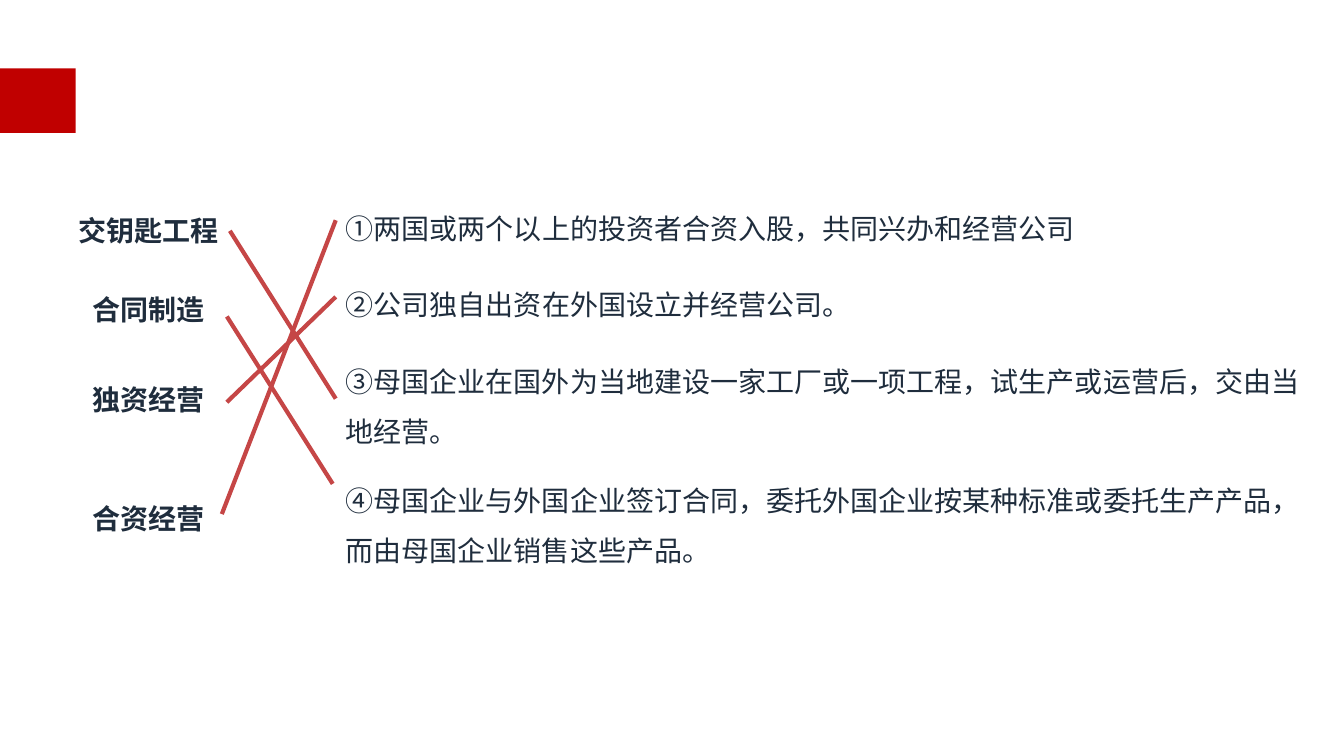
from dataclasses import dataclass

from lxml import etree
from pptx import Presentation
from pptx.dml.color import RGBColor
from pptx.enum import shapes, text
from pptx.oxml import ns
from pptx.util import Inches, Pt

COLORS = {"accent": "C00000", "ink": "1F2D3D", "link": "C54646"}
CJK_FONT = "Noto Sans CJK SC"
LABEL_FONT = "Roboto"
LABEL_CENTER = 1.48
LABEL_HEIGHT = 0.44
CHARACTER_WIDTH = 0.28
SIDE_INSETS = 0.2
DESCRIPTION_LEFT = 3.33
LEFT_SIDE, RIGHT_SIDE = 1, 3


@dataclass
class Label:
    wording: str
    top: float


@dataclass
class Description:
    wording: str
    top: float
    width: float
    height: float
    wraps: bool


@dataclass
class Match:
    """Answer line; label and description are indexes of the boxes it joins, if any."""
    start: tuple[float, float]
    end: tuple[float, float]
    label: int | None = None
    description: int | None = None


LABELS = [
    Label("交钥匙工程", 2.07),
    Label("合同制造", 2.85),
    Label("独资经营", 3.75),
    Label("合资经营", 4.93),
]
DESCRIPTIONS = [
    Description("①两国或两个以上的投资者合资入股，共同兴办和经营公司", 1.88, 7.49, 0.61, False),
    Description("②公司独自出资在外国设立并经营公司。", 2.64, 5.25, 0.61, False),
    Description("③母国企业在国外为当地建设一家工厂或一项工程，试生产或运营后，交由当地经营。",
                3.4, 9.67, 1.11, True),
    Description("④母国企业与外国企业签订合同，委托外国企业按某种标准或委托生产产品，而由母国企业销售这些产品。",
                4.58, 9.67, 1.11, True),
]
MATCHES = [
    Match((2.29, 2.29), (3.33, 3.95), label=0, description=2),
    Match((2.25, 3.14), (3.3, 4.8)),
    Match((2.25, 3.99), (3.33, 2.94), description=1),
    Match((2.2, 5.1), (3.33, 2.18), description=0),
]


def color(name: str) -> RGBColor:
    return RGBColor.from_string(COLORS[name])


def add_text(slide, wording: str, left: float, top: float, width: float, height: float,
             font_name: str, bold: bool = False, wraps: bool = False, spacing: float = 1.0):
    box = slide.shapes.add_textbox(Inches(left), Inches(top), Inches(width), Inches(height))
    frame = box.text_frame
    frame.text = wording
    frame.word_wrap = wraps
    frame.auto_size = text.MSO_AUTO_SIZE.SHAPE_TO_FIT_TEXT
    paragraph = frame.paragraphs[0]
    paragraph.line_spacing = spacing
    run = paragraph.runs[0]
    run.font.name = font_name
    run.font.size = Pt(20)
    run.font.bold = bold
    run.font.color.rgb = color("ink")
    east_asian = etree.SubElement(run.font._element, ns.qn("a:ea"))
    east_asian.set("typeface", CJK_FONT)
    return box


def add_label(slide, label: Label):
    width = SIDE_INSETS + CHARACTER_WIDTH * len(label.wording)
    return add_text(slide, label.wording, LABEL_CENTER - width / 2, label.top, width,
                    LABEL_HEIGHT, LABEL_FONT, bold=True)


def add_description(slide, description: Description):
    return add_text(slide, description.wording, DESCRIPTION_LEFT, description.top,
                    description.width, description.height, CJK_FONT,
                    wraps=description.wraps, spacing=1.5)


def add_match(slide, match: Match, label_boxes: list, description_boxes: list) -> None:
    points = [Inches(value) for value in (*match.start, *match.end)]
    line = slide.shapes.add_connector(shapes.MSO_CONNECTOR.STRAIGHT, *points)
    line.line.color.rgb = color("link")
    line.line.width = Pt(3)
    etree.SubElement(line._element.spPr, ns.qn("a:effectLst"))
    if match.label is not None:
        line.begin_connect(label_boxes[match.label], RIGHT_SIDE)
    if match.description is not None:
        line.end_connect(description_boxes[match.description], LEFT_SIDE)


def add_accent_block(slide) -> None:
    block = slide.shapes.add_shape(shapes.MSO_SHAPE.RECTANGLE, Inches(0), Inches(0.68),
                                   Inches(0.75), Inches(0.64))
    block.shadow.inherit = False
    block.fill.solid()
    block.fill.fore_color.rgb = color("accent")
    block.line.fill.background()


def main() -> None:
    presentation = Presentation()
    presentation.slide_width = Inches(13.33)
    presentation.slide_height = Inches(7.5)
    slide = presentation.slides.add_slide(presentation.slide_layouts.get_by_name("Blank"))
    add_accent_block(slide)
    description_boxes = [add_description(slide, description) for description in DESCRIPTIONS]
    label_boxes = [add_label(slide, label) for label in LABELS]
    for match in MATCHES:
        add_match(slide, match, label_boxes, description_boxes)
    presentation.save("out.pptx")


if __name__ == "__main__":
    main()
